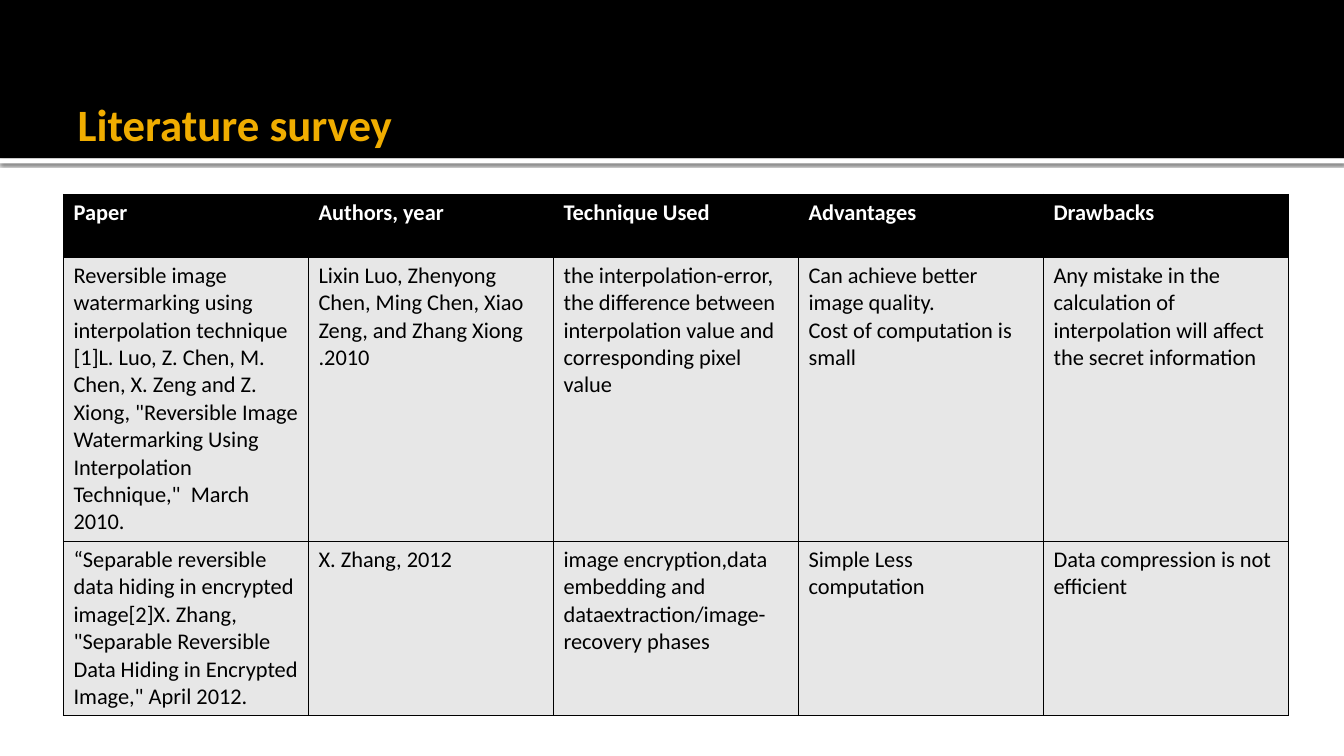
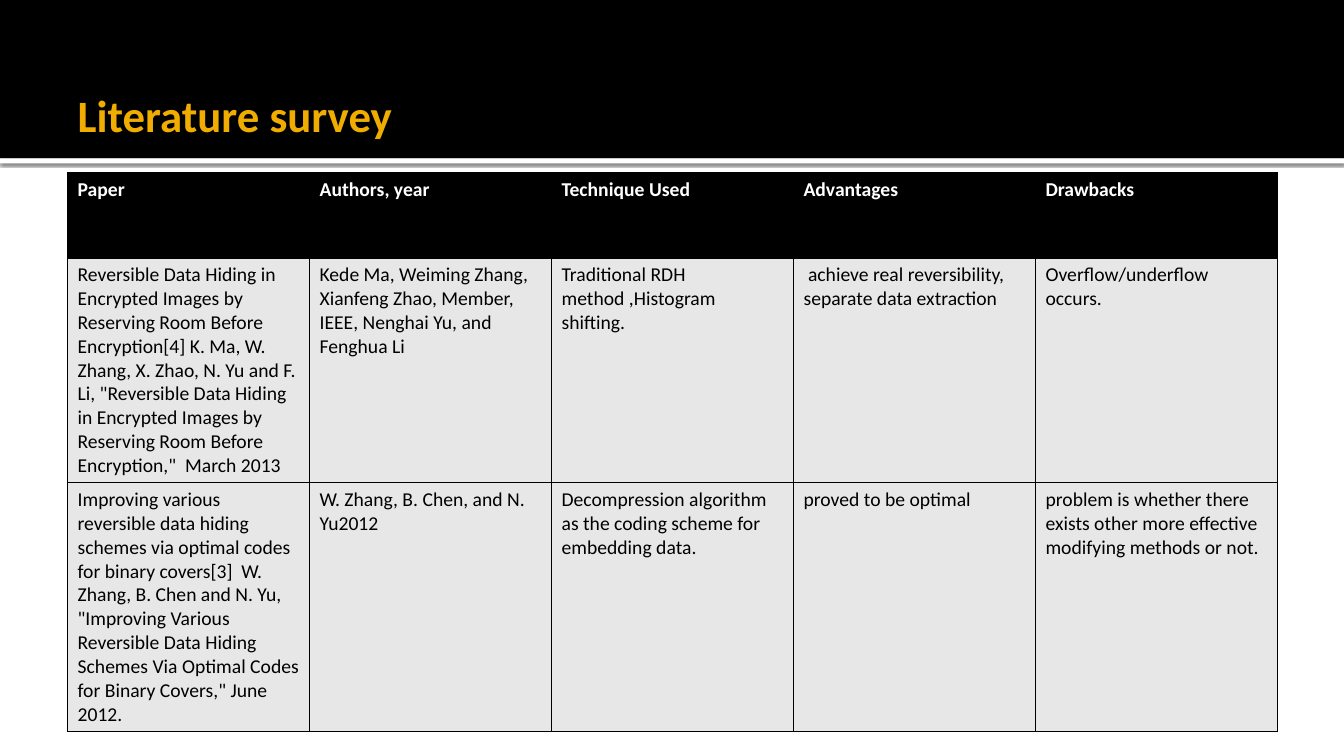
from dataclasses import dataclass

from lxml import etree
from pptx import Presentation
from pptx.dml.color import RGBColor
from pptx.enum.shapes import MSO_SHAPE
from pptx.enum.text import MSO_ANCHOR, MSO_AUTO_SIZE, PP_ALIGN
from pptx.oxml.ns import qn
from pptx.util import Emu, Pt

RECTANGLE = MSO_SHAPE.RECTANGLE
MIDDLE = MSO_ANCHOR.MIDDLE
NO_FIT = MSO_AUTO_SIZE.NONE
LEFT = PP_ALIGN.LEFT

EMU_PER_PX = 9144
PAGE_WIDTH, PAGE_HEIGHT = 1333, 750
BAND_HEIGHT, STRIP_HEIGHT = 157, 5
TITLE_LEFT, TITLE_WIDTH = 67, 1200
TITLE_ONLY = 5

BLACK, WHITE, GOLD, GREY = "000000", "FFFFFF", "F0AD00", "E7E7E7"
FONT = "Calibri"
TITLE = "Literature survey"
HEADERS = ("Paper", "Authors, year", "Technique Used", "Advantages", "Drawbacks")
BORDER_SIDES = ("a:lnL", "a:lnR", "a:lnT", "a:lnB")


@dataclass(frozen=True)
class Survey:
    title_top: int
    title_height: int
    left: int
    top: int
    column_width: int
    row_heights: tuple[int, ...]
    text_size: int
    papers: tuple[tuple[str, ...], ...]


SURVEYS = (
    Survey(
        title_top=44, title_height=157, left=63, top=193, column_width=243,
        row_heights=(62, 282, 173), text_size=16,
        papers=(
            (
                "Reversible image watermarking using interpolation technique "
                "[1]L. Luo, Z. Chen, M. Chen, X. Zeng and Z. Xiong, "
                '"Reversible Image Watermarking Using Interpolation  Technique,"  March 2010.',
                "Lixin Luo, Zhenyong Chen, Ming Chen, Xiao Zeng, and Zhang Xiong .2010",
                "the interpolation-error, the difference between interpolation value "
                "and corresponding pixel value",
                "Can achieve better image quality.\nCost of computation is small",
                "Any mistake in the calculation of interpolation will affect "
                "the secret information",
            ),
            (
                "“Separable reversible data hiding in encrypted image[2]X. Zhang, "
                '"Separable Reversible Data Hiding in Encrypted Image," April 2012.',
                "X. Zhang, 2012",
                "image encryption,data embedding and "
                "dataextraction/image-recovery phases",
                "Simple Less computation",
                "Data compression is not efficient",
            ),
        ),
    ),
    Survey(
        title_top=17, title_height=194, left=67, top=171, column_width=240,
        row_heights=(85, 223, 247), text_size=14,
        papers=(
            (
                "Reversible Data Hiding in Encrypted Images by Reserving Room "
                "Before Encryption[4] K. Ma, W. Zhang, X. Zhao, N. Yu and F. Li, "
                '"Reversible Data Hiding in Encrypted Images by Reserving Room '
                'Before Encryption,"  March 2013',
                "Kede Ma, Weiming Zhang, Xianfeng Zhao, Member, IEEE, "
                "Nenghai Yu, and Fenghua Li",
                "Traditional RDH method ,Histogram shifting.",
                " achieve real reversibility, separate data extraction",
                "Overflow/underflow occurs.",
            ),
            (
                "Improving various reversible data hiding schemes via optimal codes "
                "for binary covers[3]  W. Zhang, B. Chen and N. Yu, "
                '"Improving Various Reversible Data Hiding Schemes Via Optimal Codes '
                'for Binary Covers," June 2012.',
                "W. Zhang, B. Chen, and N. Yu2012",
                "Decompression algorithm as the coding scheme for embedding data.",
                "proved to be optimal",
                "problem is whether there exists other more effective "
                "modifying methods or not.",
            ),
        ),
    ),
)


def px(length: int) -> Emu:
    return Emu(length * EMU_PER_PX)


def color(value: str) -> RGBColor:
    return RGBColor.from_string(value)


def set_values(target, values: dict) -> None:
    for name, value in values.items():
        setattr(target, name, value)


def format_text(frame, size: int, text_color: str, bold: bool) -> None:
    for para in frame.paragraphs:
        para.alignment = LEFT
        for span in para.runs:
            set_values(span.font, {"name": FONT, "size": Pt(size), "bold": bold})
            span.font.color.rgb = color(text_color)


def add_band(page, top: int, height: int, fill: str):
    band = page.shapes.add_shape(RECTANGLE, px(0), px(top), px(PAGE_WIDTH), px(height))
    band.shadow.inherit = False
    band.fill.solid()
    band.fill.fore_color.rgb = color(fill)
    band.line.fill.background()
    return band


def add_shadow(band) -> None:
    effects = band.element.spPr.find(qn("a:effectLst"))
    shadow = etree.SubElement(
        effects, qn("a:outerShdw"),
        blurRad=str(Pt(2.5)), dist=str(Pt(0.8)), dir="5400000", rotWithShape="0",
    )
    tint = etree.SubElement(shadow, qn("a:srgbClr"), val=BLACK)
    etree.SubElement(tint, qn("a:alpha"), val="60000")


def add_master_bands(deck, page) -> None:
    strip = add_band(page, BAND_HEIGHT, STRIP_HEIGHT, WHITE)
    add_shadow(strip)
    header = add_band(page, 0, BAND_HEIGHT, BLACK)
    tree = deck.slide_master.shapes.element
    for position, band in enumerate((strip, header), start=2):
        tree.insert(position, band.element)


def add_title(page, survey: Survey) -> None:
    title = page.shapes.title
    set_values(title, {
        "left": px(TITLE_LEFT), "top": px(survey.title_top),
        "width": px(TITLE_WIDTH), "height": px(survey.title_height),
    })
    frame = title.text_frame
    frame.text = TITLE
    set_values(frame, {
        "word_wrap": True, "auto_size": NO_FIT, "vertical_anchor": MIDDLE,
        "margin_left": px(10), "margin_right": px(5),
        "margin_top": px(5), "margin_bottom": px(5),
    })
    format_text(frame, 32, GOLD, True)


def add_borders(cell) -> None:
    properties = cell._tc.get_or_add_tcPr()
    for position, side in enumerate(BORDER_SIDES):
        line = etree.Element(qn(side), w=str(Pt(1)))
        fill = etree.SubElement(line, qn("a:solidFill"))
        etree.SubElement(fill, qn("a:srgbClr"), val=BLACK)
        properties.insert(position, line)


def add_survey_table(page, survey: Survey) -> None:
    rows = (HEADERS, *survey.papers)
    table = page.shapes.add_table(
        len(rows), len(HEADERS), px(survey.left), px(survey.top),
        px(survey.column_width * len(HEADERS)), px(sum(survey.row_heights)),
    ).table
    set_values(table, {"first_row": False, "horz_banding": False})
    for column in table.columns:
        column.width = px(survey.column_width)
    for row_index, texts in enumerate(rows):
        table.rows[row_index].height = px(survey.row_heights[row_index])
        is_header = row_index == 0
        for column_index, text in enumerate(texts):
            cell = table.cell(row_index, column_index)
            cell.text = text
            cell.fill.solid()
            cell.fill.fore_color.rgb = color(BLACK if is_header else GREY)
            add_borders(cell)
            format_text(
                cell.text_frame, survey.text_size,
                WHITE if is_header else BLACK, is_header,
            )


def main() -> None:
    deck = Presentation()
    set_values(deck, {"slide_width": px(PAGE_WIDTH), "slide_height": px(PAGE_HEIGHT)})
    pages = [deck.slides.add_slide(deck.slide_layouts[TITLE_ONLY]) for _ in SURVEYS]
    add_master_bands(deck, pages[0])
    for page, survey in zip(pages, SURVEYS):
        add_title(page, survey)
        add_survey_table(page, survey)
    deck.save("out.pptx")


if __name__ == "__main__":
    main()
